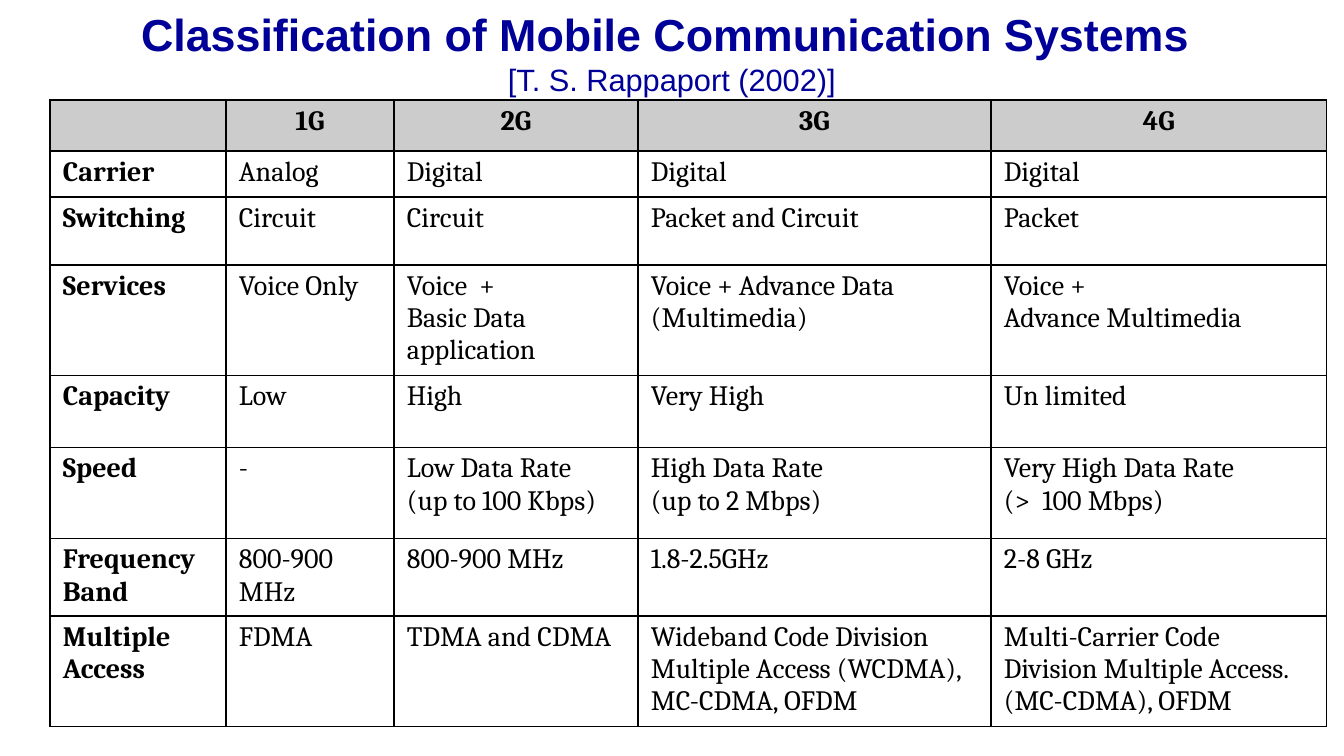
from lxml import etree
from pptx import Presentation
from pptx.dml.color import RGBColor
from pptx.enum.text import MSO_ANCHOR, PP_ALIGN
from pptx.oxml.ns import qn
from pptx.util import Pt

CENTER, LEFT = PP_ALIGN.CENTER, PP_ALIGN.LEFT
MIDDLE = MSO_ANCHOR.MIDDLE
SCALE = 914400 / 100.8

THEME = {
    "title": {"name": "Arial", "size": Pt(32), "bold": True},
    "source": {"name": "Arial", "size": Pt(22), "bold": False},
    "label": {"name": "Cambria", "size": Pt(20), "bold": True},
    "value": {"name": "Cambria", "size": Pt(20), "bold": False},
    "navy": RGBColor(0x00, 0x00, 0x99),
    "black": RGBColor(0x00, 0x00, 0x00),
    "gray": RGBColor(0xCC, 0xCC, 0xCC),
}
WIDTHS = [176, 168, 244, 353, 336]
HEIGHTS = [51, 46, 68, 107, 72, 91, 75, 107]
ROWS = [
    ["", "1G", "2G", "3G", "4G"],
    ["Carrier", "Analog", "Digital", "Digital", "Digital"],
    ["Switching", "Circuit", "Circuit", "Packet and Circuit", "Packet"],
    ["Services", "Voice Only", "Voice  +\nBasic Data application",
     "Voice + Advance Data (Multimedia)", "Voice +\nAdvance Multimedia"],
    ["Capacity", "Low", "High", "Very High", "Un limited"],
    ["Speed", "-", "Low Data Rate\n(up to 100 Kbps)",
     "High Data Rate\n(up to 2 Mbps)", "Very High Data Rate\n(>  100 Mbps)"],
    ["Frequency Band", "800-900 MHz", "800-900 MHz", "1.8-2.5GHz", "2-8 GHz"],
    ["Multiple Access", "FDMA", "TDMA and CDMA",
     "Wideband Code Division Multiple Access (WCDMA), MC-CDMA, OFDM",
     "Multi-Carrier Code Division Multiple Access. (MC-CDMA), OFDM"],
]
INSETS = {"margin_left": 13, "margin_right": 13, "margin_top": 5, "margin_bottom": 5}


def px(count):
    return round(count * SCALE)


def style(font, kind, color):
    for key, value in THEME[kind].items():
        setattr(font, key, value)
    font.color.rgb = THEME[color]


deck = Presentation()
deck.slide_width, deck.slide_height = px(1344), px(756)
slide = deck.slides.add_slide(deck.slide_layouts[6])

# Title and source
frame = slide.shapes.add_textbox(px(67), px(17), px(1210), px(71)).text_frame
frame.word_wrap = True
frame.vertical_anchor = MIDDLE
head = frame.paragraphs[0]
head.alignment = CENTER
run = head.add_run()
run.text = "Classification of Mobile Communication Systems "
style(run.font, "title", "navy")
head.add_line_break()
run = head.add_run()
run.text = "[T. S. Rappaport (2002)]"
style(run.font, "source", "navy")

# Comparison table
table = slide.shapes.add_table(
    len(ROWS), len(WIDTHS), px(50), px(100), px(sum(WIDTHS)), px(sum(HEIGHTS))
).table
table.first_row = table.horz_banding = False
for column, width in zip(table.columns, WIDTHS):
    column.width = px(width)
for row, height in zip(table.rows, HEIGHTS):
    row.height = px(height)

for r, texts in enumerate(ROWS):
    for c, text in enumerate(texts):
        cell = table.cell(r, c)
        for key, inset in INSETS.items():
            setattr(cell, key, px(inset))
        props = cell._tc.get_or_add_tcPr()
        for side in ("a:lnL", "a:lnR", "a:lnT", "a:lnB"):
            line = etree.SubElement(props, qn(side), w=str(Pt(1)))
            fill = etree.SubElement(line, qn("a:solidFill"))
            etree.SubElement(fill, qn("a:srgbClr"), val=str(THEME["black"]))
        if r == 0:
            cell.fill.solid()
            cell.fill.fore_color.rgb = THEME["gray"]
        else:
            cell.fill.background()
        cell.text = text
        for para in cell.text_frame.paragraphs:
            para.alignment = CENTER if r == 0 else LEFT
            for run in para.runs:
                style(run.font, "label" if r == 0 or c == 0 else "value", "black")

deck.save("out.pptx")
